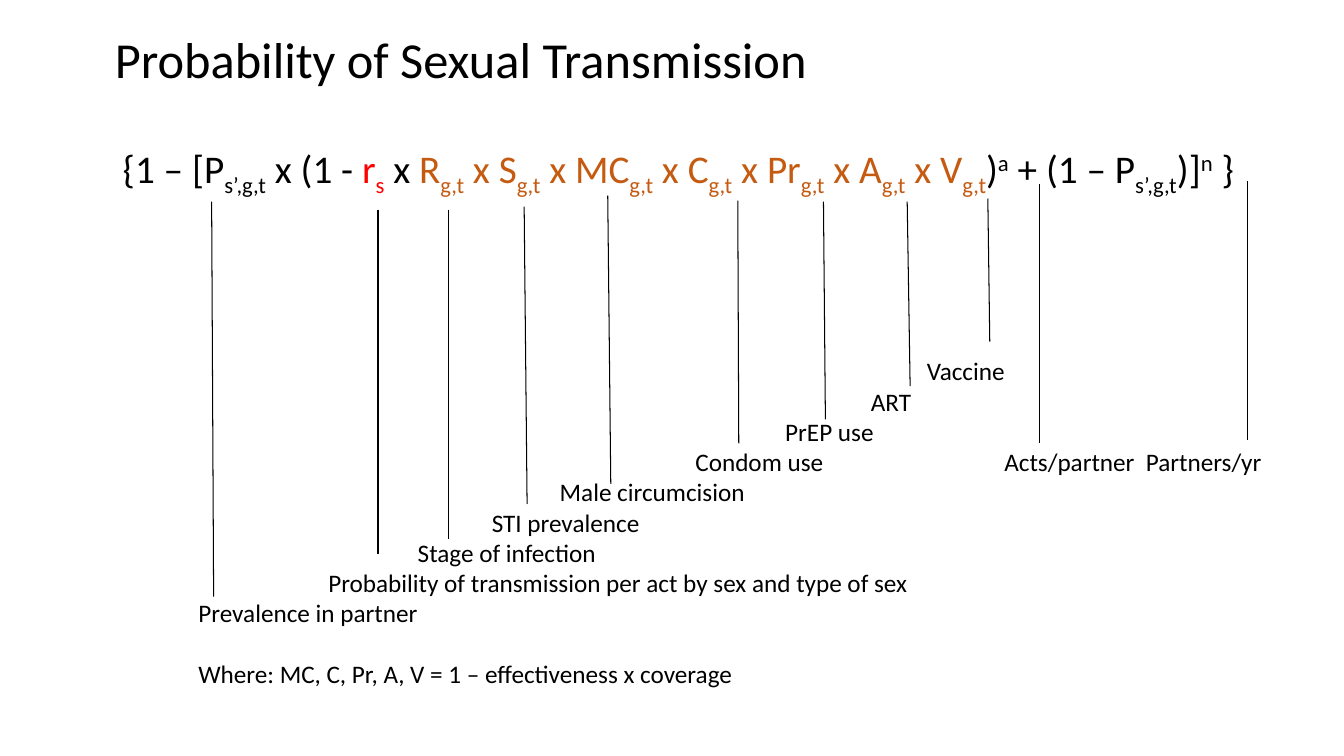
from collections import namedtuple

from lxml import etree
from pptx import Presentation
from pptx import util as u
from pptx.dml.color import RGBColor
from pptx.enum import shapes, text
from pptx.oxml.ns import qn

COLORS = {"black": "000000", "red": "FF0000", "orange": "C55A11"}
BASELINES = {"normal": None, "sub": "-25000", "super": "30000"}
ROW_HEIGHT = 21.6
Box = namedtuple("Box", "left top width height")

EQUATION = [
    ("{1 – [P", "black", "normal"), ("s’,g,t", "black", "sub"),
    (" x (1 - ", "black", "normal"), ("r", "red", "normal"),
    ("s", "red", "sub"), (" x ", "black", "normal"),
    *[part for factor in ("R", " x S", " x MC", " x C", " x Pr", " x A", " x V")
      for part in ((factor, "orange", "normal"), ("g,t", "orange", "sub"))],
    (")", "black", "normal"), ("a", "black", "super"),
    (" + (1 – P", "black", "normal"), ("s’,g,t", "black", "sub"),
    (")]", "black", "normal"), ("n", "black", "super"), (" }", "black", "normal"),
]
FACTOR_LABELS = [
    ("Vaccine", 520.4), ("ART", 480.3), ("PrEP use", 419.2),
    ("Condom use", 355), ("Male circumcision", 258.1),
    ("STI prevalence", 209.6), ("Stage of infection", 156.7),
    ("Probability of transmission per act by sex and type of sex", 92.8),
    ("Prevalence in partner", 0),
    ("Where: MC, C, Pr, A, V = 1 – effectiveness x coverage", 0),
]
EXPONENT_LABELS = [("Acts/partner", 575.7), ("Partners/yr", 676.8)]
EXPONENT_ROW = 3
LEADERS = [
    (16.6, 14.4, 18, 296.6), (135.4, 20.2, 135.4, 266.4),
    (185.8, 20.2, 185.8, 255.6), (239.8, 18, 241.9, 230.4),
    (299.5, 10.1, 301.7, 216), (392.4, 13.7, 393.1, 187.2),
    (453.6, 14.4, 455, 169.9), (513.4, 14.4, 515.5, 146.2),
    (571, 12.2, 572.4, 114.5), (607.7, 2.2, 607.7, 187.2),
    (756.7, 0, 756.7, 185),
]


def add_text_frame(slide, box, **frame_format):
    """Add a text box filling the box and return its text frame."""
    shape = slide.shapes.add_textbox(*(u.Pt(length) for length in box))
    for name, value in {"word_wrap": True, **frame_format}.items():
        setattr(shape.text_frame, name, value)
    return shape.text_frame


def add_run(paragraph, words, size, color="black", baseline="normal"):
    """Add a formatted run, raised or lowered when asked."""
    run = paragraph.add_run()
    run.text = words
    for name, value in {"name": "Calibri", "size": u.Pt(size)}.items():
        setattr(run.font, name, value)
    run.font.color.rgb = RGBColor.from_string(COLORS[color])
    if BASELINES[baseline]:
        run.font._element.set("baseline", BASELINES[baseline])


def add_title(slide, box):
    """Write the slide title in the middle of its box."""
    frame = add_text_frame(slide, box, vertical_anchor=text.MSO_ANCHOR.MIDDLE)
    frame.paragraphs[0].line_spacing = 0.9
    add_run(frame.paragraphs[0], "Probability of Sexual Transmission", 36)


def add_equation(slide, box):
    """Write the coloured equation with its subscripts and exponents."""
    frame = add_text_frame(slide, box)
    for words, color, baseline in EQUATION:
        add_run(frame.paragraphs[0], words, 28, color, baseline)


def add_labels(slide, box):
    """Write the stepped factor labels and the exponent labels beside them."""
    frame = add_text_frame(slide, box)
    for row, (words, indent) in enumerate(FACTOR_LABELS):
        paragraph = frame.add_paragraph() if row else frame.paragraphs[0]
        properties = paragraph._p.get_or_add_pPr()
        for name, value in {"marL": u.Pt(indent), "indent": 0}.items():
            properties.set(name, str(value))
        add_run(paragraph, words, 18)
    frame.paragraphs[-1].space_before = u.Pt(ROW_HEIGHT)
    for words, offset in EXPONENT_LABELS:
        label_box = Box(box.left + offset, box.top + EXPONENT_ROW * ROW_HEIGHT, 110, 29)
        label_frame = add_text_frame(slide, label_box)
        add_run(label_frame.paragraphs[0], words, 18)


def add_leaders(slide, box):
    """Draw the lines that lead from the equation terms to their labels."""
    for start_x, start_y, end_x, end_y in LEADERS:
        line = slide.shapes.add_connector(
            shapes.MSO_CONNECTOR.STRAIGHT,
            u.Pt(box.left + start_x), u.Pt(box.top + start_y),
            u.Pt(box.left + end_x), u.Pt(box.top + end_y))
        line.line.color.rgb = RGBColor.from_string(COLORS["black"])
        line.line.width = u.Pt(0.75)
        etree.SubElement(line._element.spPr, qn("a:effectLst"))


def main():
    """Build and save the transmission probability slide."""
    presentation = Presentation()
    for name, value in {"slide_width": 960, "slide_height": 540}.items():
        setattr(presentation, name, u.Pt(value))
    slide = presentation.slides.add_slide(presentation.slide_layouts[6])
    add_title(slide, Box(75, -8, 828, 104.4))
    add_labels(slide, Box(134.6, 250.6, 794, 269))
    add_equation(slide, Box(80.6, 99.4, 848, 41))
    add_leaders(slide, Box(134.6, 129.6, 757, 297))
    presentation.save("out.pptx")


if __name__ == "__main__":
    main()
